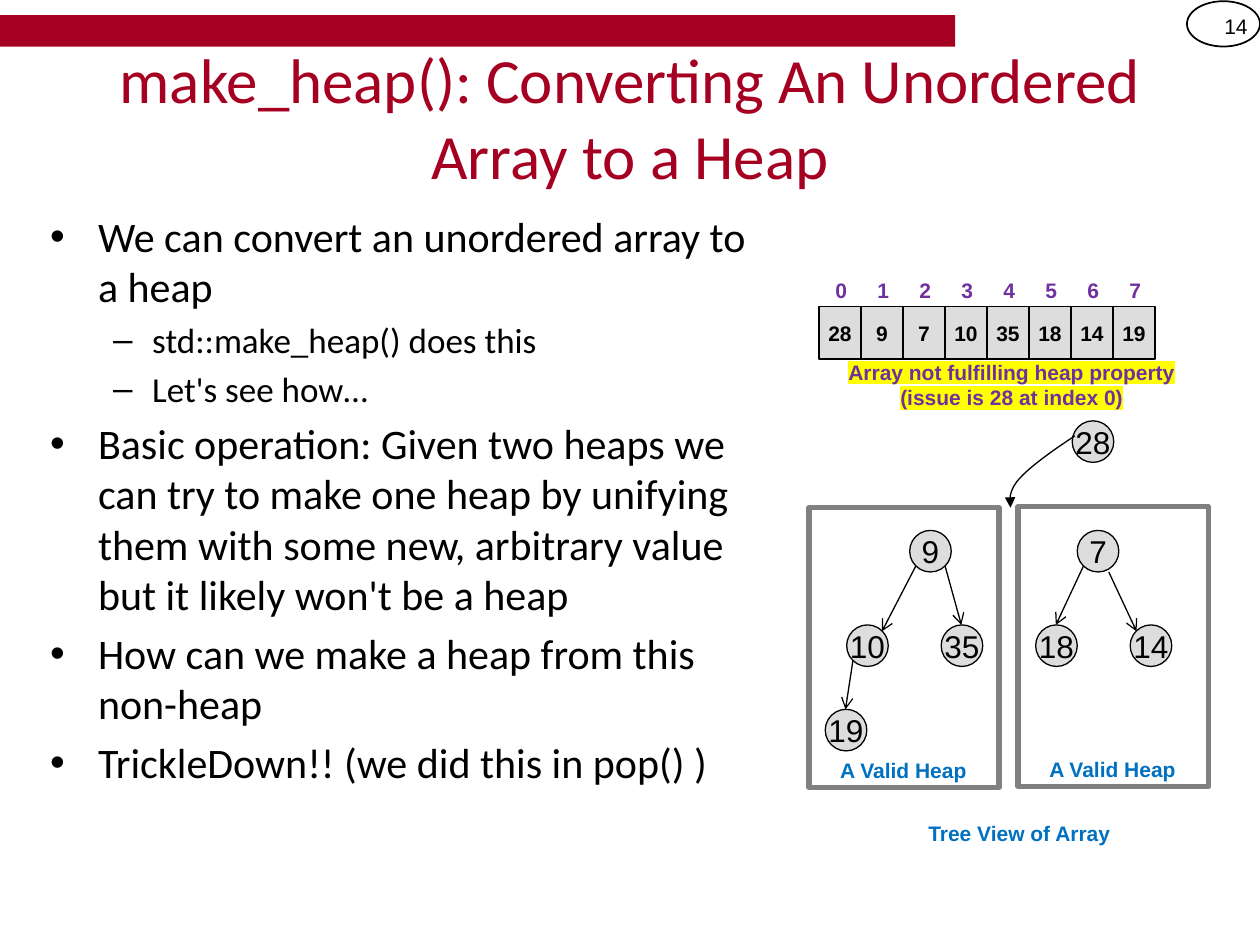
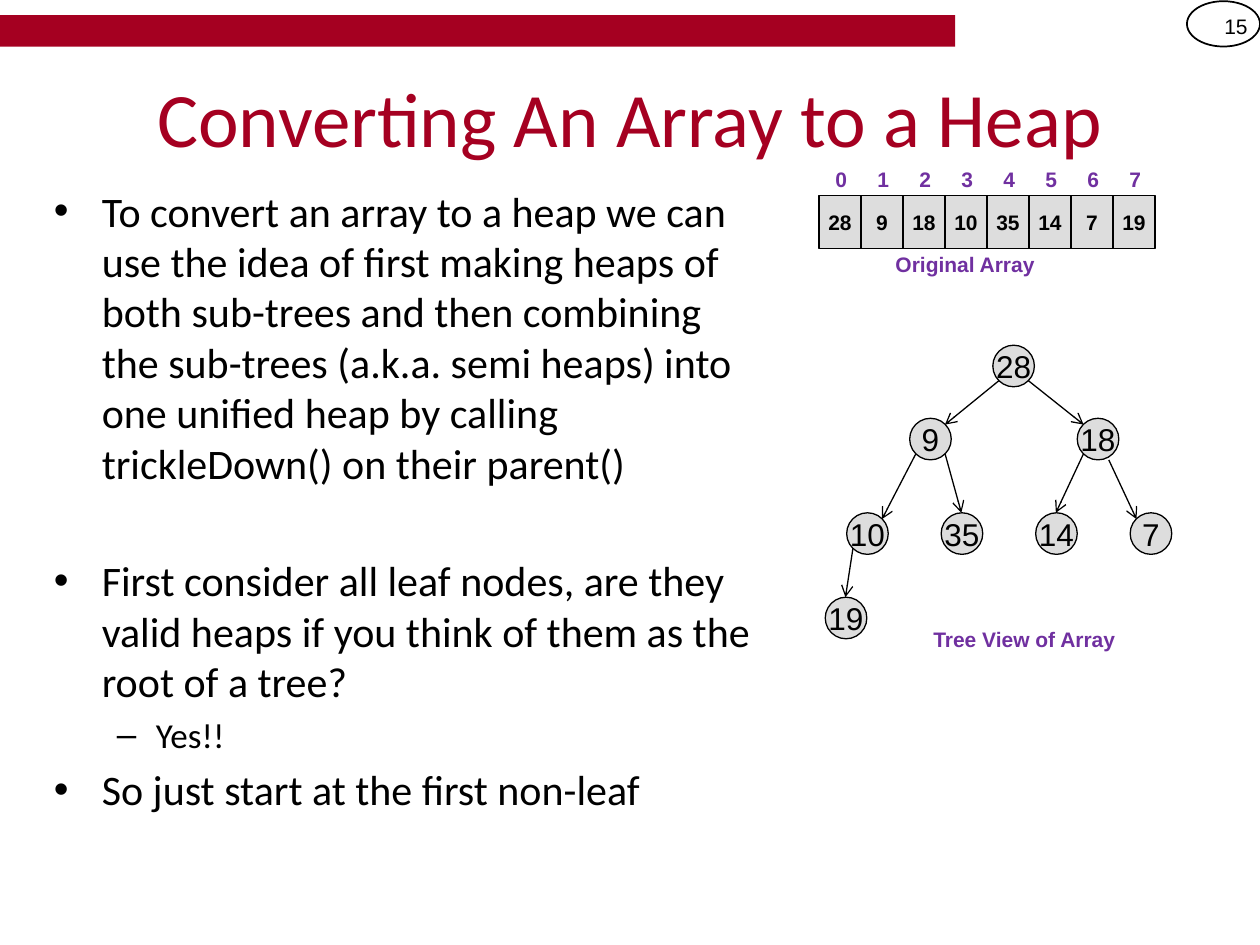
import pptx
import pptx.util
import pptx.dml.color
import pptx.enum.shapes
import pptx.enum.text
import pptx.oxml.ns
from lxml import etree

Inches = pptx.util.Inches
Pt = pptx.util.Pt
SHAPE = pptx.enum.shapes.MSO_SHAPE
ALIGN = pptx.enum.text.PP_ALIGN
ANCHOR = pptx.enum.text.MSO_ANCHOR
qn = pptx.oxml.ns.qn

# Shared colours and fonts
CRIMSON, BLACK, WHITE = "A50021", "000000", "FFFFFF"
LIGHT_GRAY, GRAY = "DDDDDD", "808080"
PURPLE, BLUE, YELLOW = "7030A0", "0070C0", "FFFF00"
HEADING_FONT, LABEL_FONT = "Calibri", "Arial"

# Bullet levels: left margin, hanging indent, character, size, space before
LEVELS = [(0.38, 0.38, "•", 24, 4.8), (0.81, 0.31, "–", 20, 4)]

# Tree nodes by heap index: left, and top relative to the second row
NODE_SIZE = 0.33
NODE_SPOTS = [(7.88, -0.58), (7.22, 0), (8.55, 0), (6.72, 0.75),
              (7.47, 0.75), (8.22, 0.75), (8.97, 0.75), (6.55, 1.42)]

# Points on a node where edges start and end
LOWER_LEFT, LOWER_RIGHT, BOTTOM = (0.05, 0.28), (0.28, 0.28), (0.25, 0.33)
UPPER_LEFT, UPPER_RIGHT, TOP = (0.05, 0.05), (0.28, 0.05), (0.16, 0)
EDGES = {1: (LOWER_LEFT, UPPER_RIGHT), 2: (LOWER_RIGHT, UPPER_LEFT),
         3: (LOWER_LEFT, UPPER_RIGHT), 4: (LOWER_RIGHT, TOP),
         5: (LOWER_LEFT, TOP), 6: (BOTTOM, UPPER_LEFT),
         7: (LOWER_LEFT, TOP)}


def color(value):
    return pptx.dml.color.RGBColor.from_string(value)


def add_span(para, text, size, font, ink, bold=False, highlight=None):
    span = para.add_run()
    span.text = text
    span.font.size = Pt(size)
    span.font.name = font
    span.font.bold = bold
    span.font.color.rgb = color(ink)
    if highlight:
        marker = etree.Element(qn("a:highlight"))
        etree.SubElement(marker, qn("a:srgbClr"), val=highlight)
        span.font._element.find(qn("a:solidFill")).addnext(marker)


def write(shape, text, size, font=LABEL_FONT, ink=BLACK, bold=False,
          align=ALIGN.CENTER, wrap=False, highlight=None):
    frame = shape.text_frame
    frame.word_wrap = wrap
    frame.vertical_anchor = ANCHOR.MIDDLE
    para = frame.paragraphs[0]
    para.alignment = align
    for number, line in enumerate(text.split("\n")):
        if number:
            para.add_line_break()
        add_span(para, line, size, font, ink, bold, highlight)


def add_box(page, left, top, width, height):
    return page.shapes.add_textbox(Inches(left), Inches(top),
                                   Inches(width), Inches(height))


def add_label(page, text, left, top, ink, width=1.5, height=0.25,
              highlight=None):
    box = add_box(page, left, top, width, height)
    write(box, text, 12, ink=ink, bold=True, highlight=highlight)


def add_figure(page, kind, left, top, width, height, fill=None,
               outline=None, weight=0.75):
    shape = page.shapes.add_shape(kind, Inches(left), Inches(top),
                                  Inches(width), Inches(height))
    shape.shadow.inherit = False
    if fill:
        shape.fill.solid()
        shape.fill.fore_color.rgb = color(fill)
    else:
        shape.fill.background()
    if outline:
        shape.line.color.rgb = color(outline)
        shape.line.width = Pt(weight)
    else:
        shape.line.fill.background()
    return shape


def style_arrow(line, head):
    line.color.rgb = color(BLACK)
    line.width = Pt(0.75)
    etree.SubElement(line._get_or_add_ln(), qn("a:tailEnd"), type=head)


def add_arrow(page, start, end):
    arrow = page.shapes.add_connector(
        pptx.enum.shapes.MSO_CONNECTOR.STRAIGHT,
        *(Inches(value) for value in (*start, *end)))
    style_arrow(arrow.line, "arrow")
    etree.SubElement(arrow._element.spPr, qn("a:effectLst"))


def add_curved_arrow(page, start, curves, steps=12):
    """Follow cubic curves, each given by two handles and an end point."""
    points = []
    here = start
    for handle_a, handle_b, end in curves:
        corners = (here, handle_a, handle_b, end)
        for step in range(1, steps + 1):
            t = step / steps
            weights = ((1 - t) ** 3, 3 * t * (1 - t) ** 2,
                       3 * t * t * (1 - t), t ** 3)
            points.append(tuple(
                Inches(sum(w * corner[axis]
                           for w, corner in zip(weights, corners)))
                for axis in (0, 1)))
        here = end
    builder = page.shapes.build_freeform(Inches(start[0]), Inches(start[1]))
    builder.add_line_segments(points, close=False)
    curve = builder.convert_to_shape()
    curve.shadow.inherit = False
    curve.fill.background()
    style_arrow(curve.line, "triangle")


def add_bullets(page, left, top, items):
    """Items hold a level, a text and optionally a space before in points."""
    frame = add_box(page, left, top, 5.83, 5.58).text_frame
    frame.word_wrap = True
    for number, (level, text, *gap) in enumerate(items):
        para = frame.add_paragraph() if number else frame.paragraphs[0]
        margin, hanging, mark, size, before = LEVELS[level]
        para.level = level
        properties = para._p.get_or_add_pPr()
        properties.set("marL", str(Inches(margin)))
        properties.set("indent", str(-Inches(hanging)))
        etree.SubElement(properties, qn("a:buFont"), typeface="Arial")
        etree.SubElement(properties, qn("a:buChar"), char=mark)
        if number:
            para.space_before = Pt(gap[0] if gap else before)
        add_span(para, text, size, HEADING_FONT, BLACK)


def add_array(page, values, left, top):
    pitch = 1 / 3
    for index, value in enumerate(values):
        cell = add_figure(page, SHAPE.RECTANGLE, left + index * pitch, top,
                          pitch, 0.42, LIGHT_GRAY, BLACK)
        write(cell, str(value), 12, bold=True)
        add_label(page, str(index), 6.51 + index * pitch, top - 0.25,
                  PURPLE, width=pitch)


def add_node(page, value, left, top):
    node = add_figure(page, SHAPE.OVAL, left, top, NODE_SIZE, NODE_SIZE,
                      LIGHT_GRAY, BLACK)
    frame = node.text_frame
    frame.margin_left = frame.margin_right = 0
    frame.margin_top = frame.margin_bottom = 0
    write(node, str(value), 18)


def add_tree(page, values, row_top, root_spot=None):
    """A root placed at root_spot stays detached from its children."""
    spots = [(left, row_top + drop) for left, drop in NODE_SPOTS]
    if root_spot:
        spots[0] = root_spot
    for value, spot in zip(values, spots):
        add_node(page, value, *spot)
    for child, (leave, arrive) in EDGES.items():
        parent = (child - 1) // 2
        if root_spot and parent == 0:
            continue
        add_arrow(page,
                  [a + b for a, b in zip(spots[parent], leave)],
                  [a + b for a, b in zip(spots[child], arrive)])


def start_page(deck, number, title, title_size):
    page = deck.slides.add_slide(deck.slide_layouts[6])
    add_figure(page, SHAPE.RECTANGLE, 0, 0.12, 7.58, 0.25, CRIMSON)
    add_figure(page, SHAPE.OVAL, 9.42, 0.01, 0.58, 0.36,
               outline=BLACK, weight=1)
    write(add_box(page, 9.42, 0.01, 0.58, 0.4), str(number), 12,
          align=ALIGN.RIGHT, wrap=True)
    write(add_box(page, 0.5, 0.3, 9, 1.25), title, title_size,
          HEADING_FONT, CRIMSON, wrap=True)
    return page


def build_unify_page(deck):
    page = start_page(
        deck, 14, "make_heap(): Converting An Unordered Array to a Heap", 36)
    add_bullets(page, 0.3, 1.62, [
        (0, "We can convert an unordered array to a heap"),
        (1, "std::make_heap() does this"),
        (1, "Let's see how…"),
        (0, "Basic operation: Given two heaps we can try to make one heap by "
            "unifying them with some new, arbitrary value but it likely "
            "won't be a heap"),
        (0, "How can we make a heap from this non-heap"),
        (0, "TrickleDown!! (we did this in pop() )"),
    ])
    values = [28, 9, 7, 10, 35, 18, 14, 19]
    add_array(page, values, 6.5, 2.43)
    add_label(page, "Array not fulfilling heap property\n"
              "(issue is 28 at index 0)", 6.53, 2.86, PURPLE,
              3, 0.38, YELLOW)

    # Two valid heaps, with the new value above them
    for left, top in ((6.42, 4.03), (8.08, 4.02)):
        add_figure(page, SHAPE.RECTANGLE, left, top, 1.51, 2.22,
                   WHITE, GRAY, 3)
        add_label(page, "A Valid Heap", left, top + 1.96, BLUE)
    add_tree(page, values, 4.21, root_spot=(8.51, 3.34))
    add_curved_arrow(page, (8.53, 3.46), [
        ((8.35, 3.58), (8.18, 3.7), (8.09, 3.8)),
        ((8.01, 3.89), (8.01, 3.96), (8.02, 4.03)),
    ])
    add_label(page, "Tree View of Array", 7.09, 6.49, BLUE, width=2)


def build_leaf_page(deck):
    page = start_page(deck, 15, "Converting An Array to a Heap", 44)
    add_bullets(page, 0.33, 1.42, [
        (0, "To convert an array to a heap we can use the idea of first "
            "making heaps of both sub-trees and then combining the sub-trees "
            "(a.k.a. semi heaps) into one unified heap by calling "
            "trickleDown() on their parent()"),
        (0, "First consider all leaf nodes, are they valid heaps if you "
            "think of them as the root of a tree?", 38.5),
        (1, "Yes!!"),
        (0, "So just start at the first non-leaf"),
    ])
    values = [28, 9, 18, 10, 35, 14, 7, 19]
    add_array(page, values, 6.5, 1.55)
    add_label(page, "Original Array", 6.91, 1.97, PURPLE)
    add_tree(page, values, 3.32)
    add_label(page, "Tree View of Array", 7.13, 4.95, PURPLE, width=2)


def main():
    deck = pptx.Presentation()
    deck.slide_width = Inches(10)
    deck.slide_height = Inches(7.5)
    build_unify_page(deck)
    build_leaf_page(deck)
    deck.save("out.pptx")


if __name__ == "__main__":
    main()
